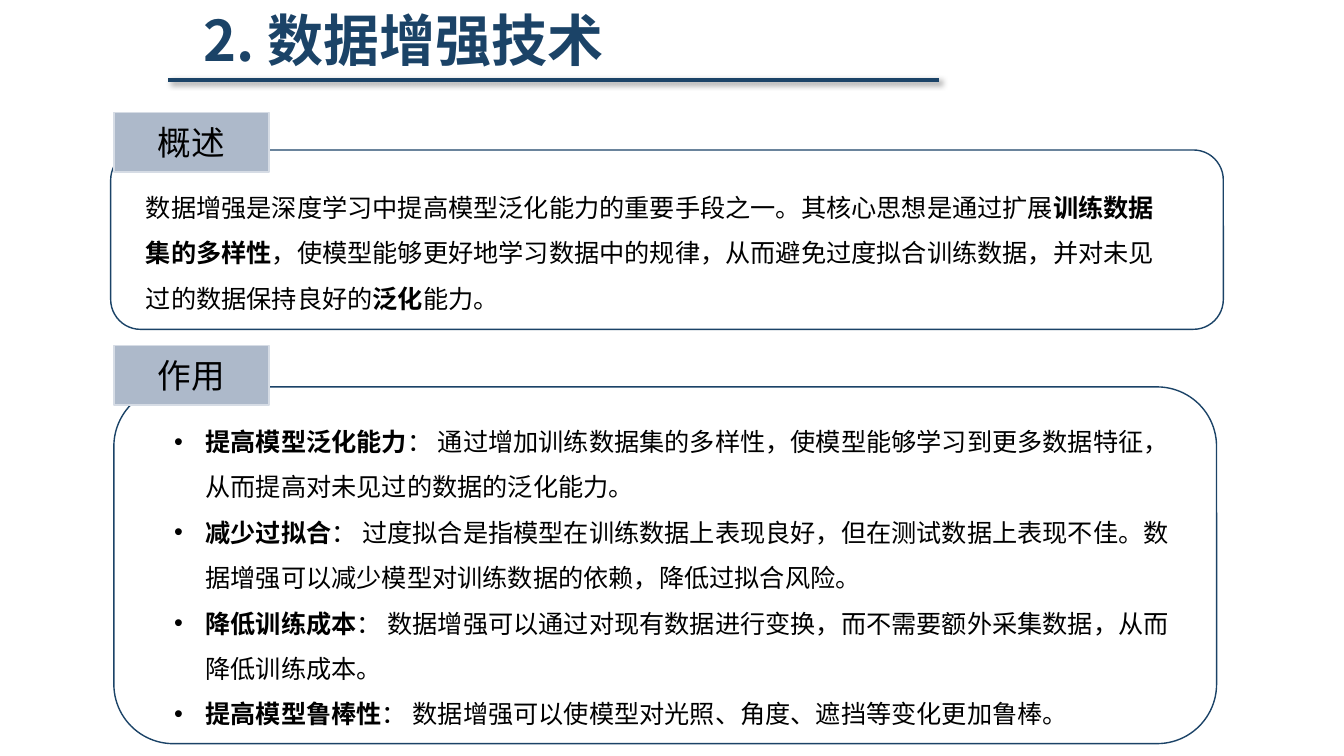
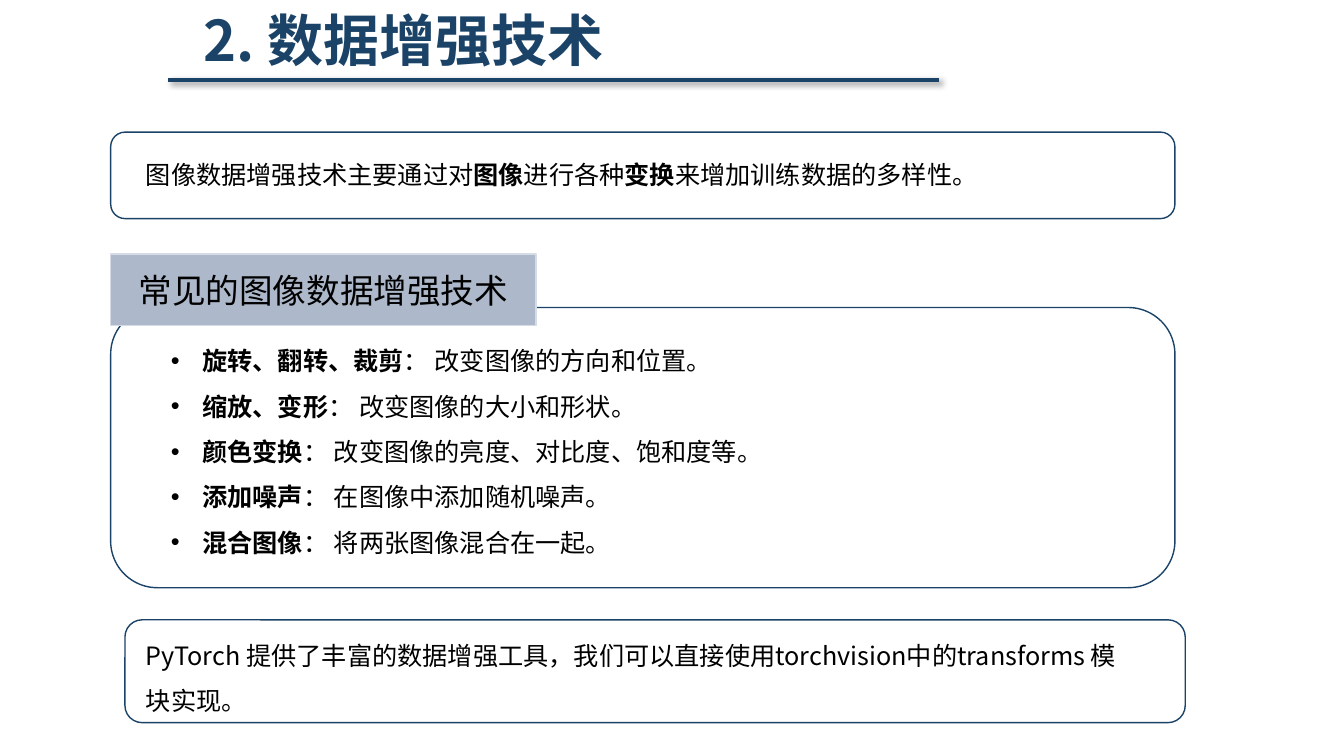
import pptx
import pptx.dml.color
import pptx.enum.shapes
import pptx.enum.text
import pptx.oxml
import pptx.oxml.ns
import pptx.util
from pptx.util import Cm

COLORS = {
    "navy": "1B4367",
    "label": "ADB9CA",
    "label_edge": "D6DCE5",
    "white": "FFFFFF",
    "black": "000000",
}
CHINESE_FONT = "Noto Sans CJK SC"
FONTS = {
    "title": {"name": CHINESE_FONT, "size": pptx.util.Pt(40), "bold": True},
    "label": {"name": "Times New Roman", "size": pptx.util.Pt(24), "bold": False},
    "body": {"name": CHINESE_FONT, "size": pptx.util.Pt(18), "bold": False},
}
TITLE = "2. 数据增强技术"
TITLE_BOX = (4.95, 0.05, 18.31, 1.9)
RULE_LEFT, RULE_RIGHT, RULE_TOP = 4.24, 23.67, 2.01
BULLET_INDENT = 0.79

OVERVIEW = [
    "数据增强是深度学习中提高模型泛化能力的重要手段之一。其核心思想是通过扩展**训练数据集的多样性**，"
    "使模型能够更好地学习数据中的规律，从而避免过度拟合训练数据，"
    "并对未见过的数据保持良好的**泛化**能力。"
]
EFFECTS = [
    "**提高模型泛化能力**： 通过增加训练数据集的多样性，使模型能够学习到更多数据特征，"
    "从而提高对未见过的数据的泛化能力。",
    "**减少过拟合**： 过度拟合是指模型在训练数据上表现良好，但在测试数据上表现不佳。"
    "数据增强可以减少模型对训练数据的依赖，降低过拟合风险。",
    "**降低训练成本**： 数据增强可以通过对现有数据进行变换，而不需要额外采集数据，从而降低训练成本。",
    "**提高模型鲁棒性**： 数据增强可以使模型对光照、角度、遮挡等变化更加鲁棒。",
]
INTRODUCTION = ["图像数据增强技术主要通过对**图像**进行各种**变换**来增加训练数据的多样性。"]
TECHNIQUES = [
    "**旋转、翻转、裁剪**： 改变图像的方向和位置。",
    "**缩放、变形**： 改变图像的大小和形状。",
    "**颜色变换**： 改变图像的亮度、对比度、饱和度等。",
    "**添加噪声**： 在图像中添加随机噪声。",
    "**混合图像**： 将两张图像混合在一起。",
]
TOOLS = [
    "PyTorch 提供了丰富的数据增强工具，我们可以直接使用torchvision中的transforms 模块实现。"
]


def rgb(color):
    return pptx.dml.color.RGBColor.from_string(COLORS[color])


def lengths(box):
    return [Cm(value) for value in box]


def set_attributes(target, values):
    for name, value in values.items():
        setattr(target, name, value)


def add_element(parent, xml):
    """Append a drawing element, written without its namespace declaration."""
    namespace = pptx.oxml.ns.nsdecls("a")
    tag, rest = xml[1:].split(" ", 1)
    parent.append(pptx.oxml.parse_xml(f"<{tag} {namespace} {rest}"))


def add_runs(paragraph, text, style, color="black"):
    """Add text in which ** switches bold on and off."""
    for index, part in enumerate(text.split("**")):
        if not part:
            continue
        run = paragraph.add_run()
        run.text = part
        set_attributes(run.font, FONTS[style])
        run.font.color.rgb = rgb(color)
        if index % 2:
            run.font.bold = True
        add_element(run.font._element, f'<a:ea typeface="{CHINESE_FONT}"/>')


def add_block(slide, kind, box, fill, edge):
    shape = slide.shapes.add_shape(kind, *lengths(box))
    shape.shadow.inherit = False
    shape.fill.solid()
    shape.fill.fore_color.rgb = rgb(fill)
    shape.line.color.rgb = rgb(edge)
    shape.line.width = pptx.util.Pt(1)
    return shape


def add_title(slide):
    frame = slide.shapes.add_textbox(*lengths(TITLE_BOX)).text_frame
    set_attributes(frame, {
        "word_wrap": True,
        "margin_left": Cm(0.18), "margin_right": Cm(0.18),
        "margin_top": Cm(0.1), "margin_bottom": Cm(0.1),
    })
    add_runs(frame.paragraphs[0], TITLE, "title", "navy")

    rule = slide.shapes.add_connector(
        pptx.enum.shapes.MSO_CONNECTOR.STRAIGHT,
        *lengths((RULE_LEFT, RULE_TOP, RULE_RIGHT, RULE_TOP)))
    rule.line.color.rgb = rgb("navy")
    rule.line.width = pptx.util.Pt(3)
    add_element(
        rule._element.spPr,
        '<a:effectLst ><a:outerShdw blurRad="50800" dist="38100" dir="2700000" '
        'algn="tl" rotWithShape="0">'
        f'<a:srgbClr val="{COLORS["black"]}"><a:alpha val="40000"/></a:srgbClr>'
        '</a:outerShdw></a:effectLst>')


def add_label(slide, text, box):
    label = add_block(
        slide, pptx.enum.shapes.MSO_SHAPE.RECTANGLE, box, "label", "label_edge")
    label.text_frame.vertical_anchor = pptx.enum.text.MSO_ANCHOR.MIDDLE
    paragraph = label.text_frame.paragraphs[0]
    paragraph.alignment = pptx.enum.text.PP_ALIGN.CENTER
    add_runs(paragraph, text, "label")


def add_body(slide, texts, box, bulleted, line_spacing):
    frame = slide.shapes.add_textbox(*lengths(box)).text_frame
    frame.word_wrap = True
    for index, text in enumerate(texts):
        paragraph = frame.add_paragraph() if index else frame.paragraphs[0]
        paragraph.line_spacing = line_spacing
        if bulleted:
            properties = paragraph._p.get_or_add_pPr()
            properties.set("marL", str(Cm(BULLET_INDENT)))
            properties.set("indent", str(-Cm(BULLET_INDENT)))
            add_element(properties, '<a:buFont typeface="Arial"/>')
            add_element(properties, '<a:buChar char="•"/>')
        add_runs(paragraph, text, "body")


def add_panel(slide, box, texts, text_box, label=None, label_box=None,
              bulleted=False, line_spacing=1.5):
    """Add a rounded panel; text_box and label_box start from its top left corner."""
    def inside(part):
        return (box[0] + part[0], box[1] + part[1], *part[2:])

    add_block(slide, pptx.enum.shapes.MSO_SHAPE.ROUNDED_RECTANGLE,
              box, "white", "navy")
    if label:
        add_label(slide, label, inside(label_box))
    add_body(slide, texts, inside(text_box), bulleted, line_spacing)


def add_titled_slide(presentation):
    slide = presentation.slides.add_slide(presentation.slide_layouts[6])
    add_title(slide)
    return slide


def build_overview_slide(presentation):
    slide = add_titled_slide(presentation)
    add_panel(slide, (2.79, 3.78, 28.04, 4.52), OVERVIEW, (0.64, 0.56, 26.19, 5.18),
              "概述", (0.08, -0.94, 3.91, 1.5))
    add_panel(slide, (2.87, 9.75, 27.79, 8.99), EFFECTS, (1.27, 0.49, 25.81, 8.23),
              "作用", (0, -1.04, 3.91, 1.5), bulleted=True)


def build_techniques_slide(presentation):
    slide = add_titled_slide(presentation)
    add_panel(slide, (2.79, 3.33, 26.82, 2.18), INTRODUCTION,
              (0.64, 0.56, 26.19, 1.98), line_spacing=1.0)
    add_panel(slide, (2.79, 7.75, 26.82, 7.06), TECHNIQUES, (1.27, 0.45, 25.81, 5.72),
              "常见的图像数据增强技术", (0, -1.35, 10.72, 1.8), bulleted=True)
    add_panel(slide, (3.15, 15.62, 26.72, 2.59), TOOLS, (0.28, 0, 25.45, 1.78))


def main():
    presentation = pptx.Presentation()
    presentation.slide_width = Cm(33.87)
    presentation.slide_height = Cm(19.05)
    build_overview_slide(presentation)
    build_techniques_slide(presentation)
    presentation.save("out.pptx")


if __name__ == "__main__":
    main()
